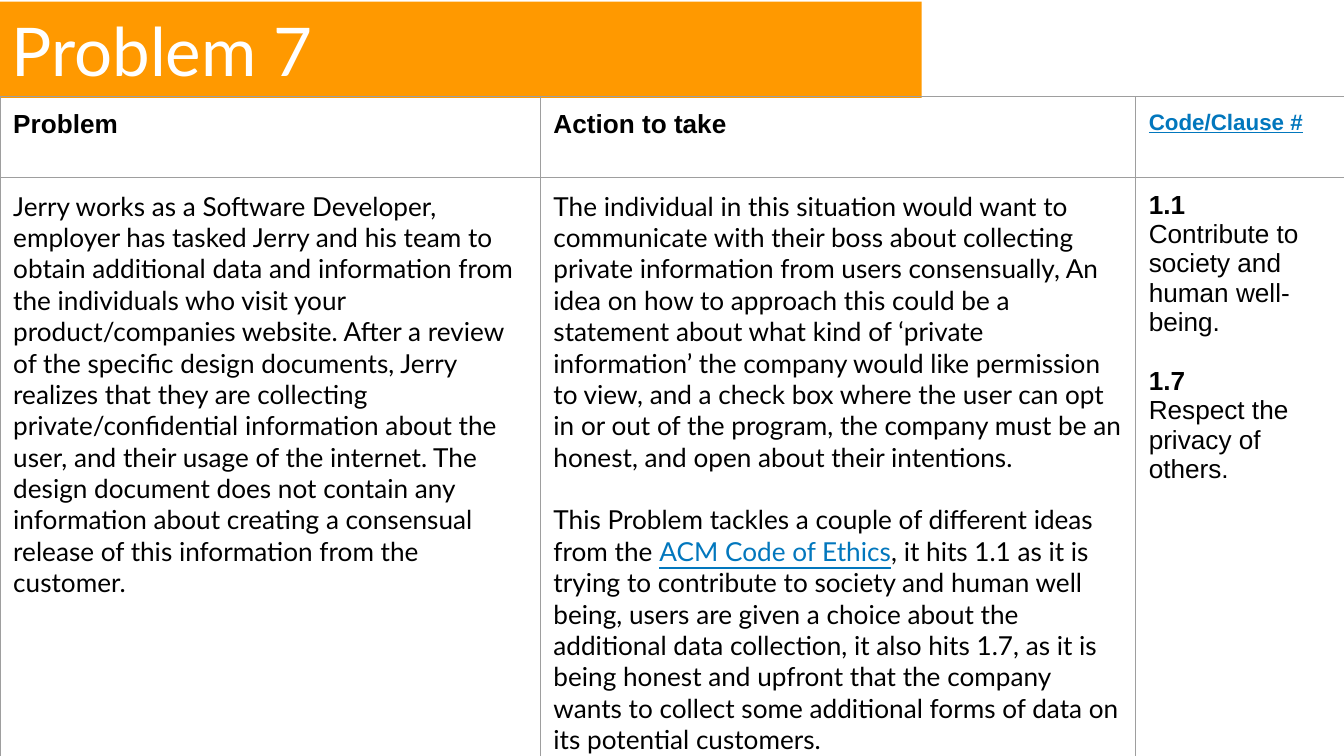
import lxml.etree
import pptx
import pptx.dml.color
import pptx.enum.shapes
import pptx.enum.text
import pptx.oxml.ns
import pptx.util
from pptx.util import Cm

COLORS = {"banner": "FF9900", "white": "FFFFFF", "text": "000000",
          "link": "0277BD", "border": "9E9E9E"}
INSET = Cm(0.25)
COLUMN_WIDTHS = [10.21, 11.25, 3.96]
ROW_HEIGHTS = [1.52, 10.59]

PROBLEM = (
    "Jerry works as a Software Developer, employer has tasked Jerry and his team "
    "to obtain additional data and information from the individuals who visit your "
    "product/companies website. After a review of the specific design documents, "
    "Jerry realizes that they are collecting private/confidential information about "
    "the user, and their usage of the internet. The design document does not contain "
    "any information about creating a consensual release of this information from "
    "the customer.")
ACTION = (
    "The individual in this situation would want to communicate with their boss "
    "about collecting private information from users consensually, An idea on how to "
    "approach this could be a statement about what kind of ‘private information’ the "
    "company would like permission to view, and a check box where the user can opt in "
    "or out of the program, the company must be an honest, and open about their "
    "intentions.")
REASON_START = "This Problem tackles a couple of different ideas from the "
REASON_END = (
    ", it hits 1.1 as it is trying to contribute to society and human well being, "
    "users are given a choice about the additional data collection, it also hits 1.7, "
    "as it is being honest and upfront that the company wants to collect some "
    "additional forms of data on its potential customers.")


def rgb(name):
    """Return the named palette colour."""
    return pptx.dml.color.RGBColor.from_string(COLORS[name])


def text_run(text, font="Lato", size=14, color="text", bold=False, underline=False):
    """Describe one formatted run."""
    return {"text": text, "font": font, "size": size, "color": color,
            "bold": bold, "underline": underline}


def add_run(paragraph, style):
    """Add a described run to a paragraph."""
    run = paragraph.add_run()
    run.text = style["text"]
    run.font.name = style["font"]
    run.font.size = pptx.util.Pt(style["size"])
    run.font.color.rgb = rgb(style["color"])
    run.font.bold = style["bold"]
    run.font.underline = style["underline"]


def fill_text(text_frame, paragraphs):
    """Write (space before in points, runs) pairs as paragraphs."""
    for index, (space_before, runs) in enumerate(paragraphs):
        paragraph = text_frame.add_paragraph() if index else text_frame.paragraphs[0]
        paragraph.alignment = pptx.enum.text.PP_ALIGN.LEFT
        paragraph.space_before = pptx.util.Pt(space_before)
        for style in runs:
            add_run(paragraph, style)


def set_insets(target):
    """Give a cell or text frame equal inner margins."""
    target.margin_left = target.margin_right = INSET
    target.margin_top = target.margin_bottom = INSET


def add_borders(cell):
    """Draw thin grey lines on all four sides of a cell."""
    qualified = pptx.oxml.ns.qn
    properties = cell._tc.get_or_add_tcPr()
    for side in ("lnL", "lnR", "lnT", "lnB"):
        line = lxml.etree.SubElement(properties, qualified("a:" + side),
                                     w=str(pptx.util.Pt(0.75)))
        fill = lxml.etree.SubElement(line, qualified("a:solidFill"))
        lxml.etree.SubElement(fill, qualified("a:srgbClr"), val=COLORS["border"])


def add_banner(slide, title):
    """Add the orange title bar."""
    banner = slide.shapes.add_shape(pptx.enum.shapes.MSO_SHAPE.RECTANGLE,
                                    Cm(-0.03), Cm(0.03), Cm(17.45), Cm(1.82))
    banner.shadow.inherit = False
    banner.fill.solid()
    banner.fill.fore_color.rgb = rgb("banner")
    banner.line.fill.background()
    frame = banner.text_frame
    frame.word_wrap = True
    frame.vertical_anchor = pptx.enum.text.MSO_ANCHOR.MIDDLE
    set_insets(frame)
    fill_text(frame, [(0, [text_run(title, size=36, color="white")])])


def add_case_table(slide, rows):
    """Add the bordered table of problem, action and clauses."""
    table = slide.shapes.add_table(len(rows), len(COLUMN_WIDTHS), Cm(0), Cm(1.83),
                                   Cm(sum(COLUMN_WIDTHS)), Cm(sum(ROW_HEIGHTS))).table
    table.first_row = table.horz_banding = False
    for column, width in zip(table.columns, COLUMN_WIDTHS):
        column.width = Cm(width)
    for row, height, contents in zip(table.rows, ROW_HEIGHTS, rows):
        row.height = Cm(height)
        for cell, paragraphs in zip(row.cells, contents):
            add_borders(cell)
            cell.fill.background()
            set_insets(cell)
            fill_text(cell.text_frame, paragraphs)


def heading(text, **style):
    """Return the content of a header cell."""
    return [(0, [text_run(text, font="Arial", bold=True, **style)])]


def clause(number, text, space_before=0):
    """Return a bold clause number followed by its wording."""
    return [(space_before, [text_run(number, font="Arial", bold=True)]),
            (0, [text_run(text, font="Arial")])]


def main():
    """Build and save the slide."""
    presentation = pptx.Presentation()
    presentation.slide_width, presentation.slide_height = Cm(25.4), Cm(14.29)
    slide = presentation.slides.add_slide(presentation.slide_layouts[6])
    reason = [text_run(REASON_START),
              text_run("ACM Code of Ethics", color="link", underline=True),
              text_run(REASON_END)]
    add_banner(slide, "Problem 7")
    add_case_table(slide, [
        [heading("Problem"), heading("Action to take"),
         heading("Code/Clause #", size=12, color="link", underline=True)],
        [[(0, [text_run(PROBLEM)])],
         [(0, [text_run(ACTION)]), (16.8, reason)],
         clause("1.1", "Contribute to society and human well-being.")
         + clause("1.7", "Respect the privacy of others.", space_before=15.7)],
    ])
    presentation.save("out.pptx")


main()
